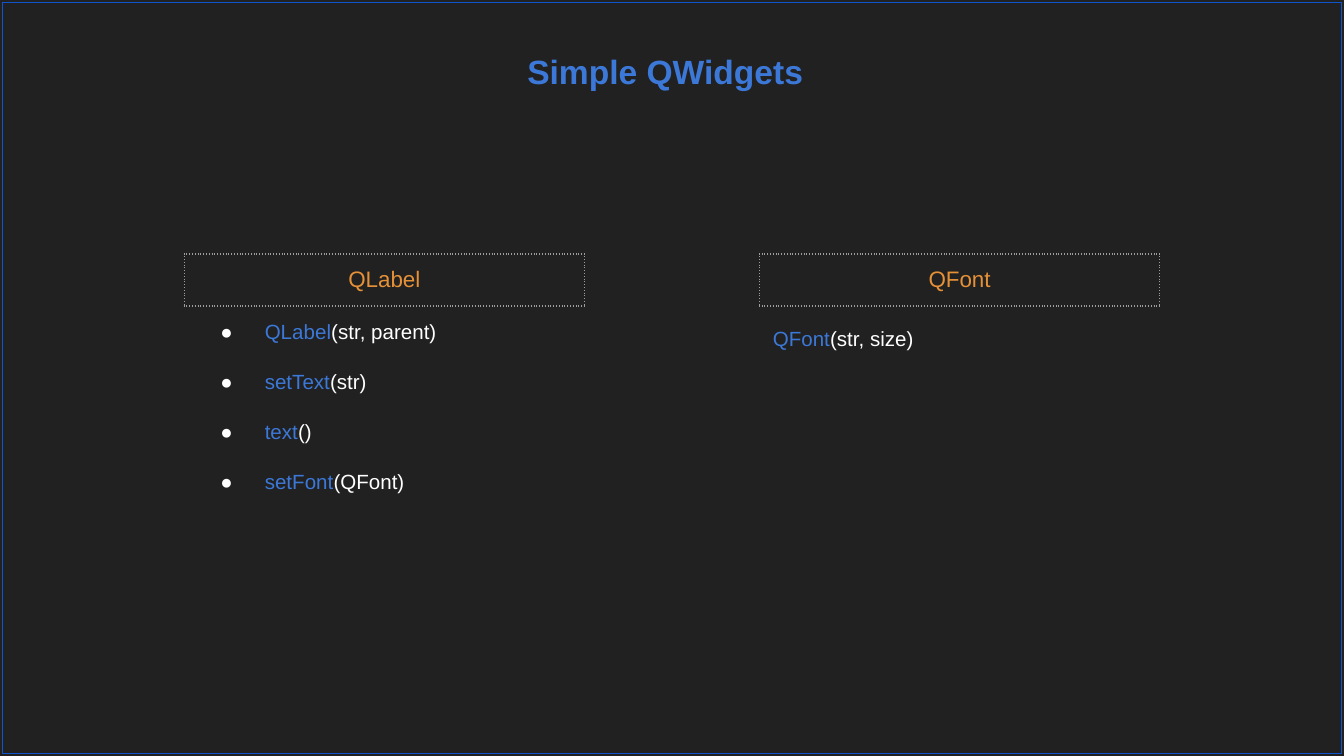
from lxml import etree
from pptx import Presentation
from pptx.dml.color import RGBColor
from pptx.enum.shapes import MSO_SHAPE
from pptx.enum.text import MSO_ANCHOR, MSO_AUTO_SIZE, PP_ALIGN
from pptx.oxml.ns import qn
from pptx.util import Inches, Pt

RECTANGLE = MSO_SHAPE.RECTANGLE
CENTER, LEFT = PP_ALIGN.CENTER, PP_ALIGN.LEFT
TOP, NO_FIT = MSO_ANCHOR.TOP, MSO_AUTO_SIZE.NONE

TITLE = "Simple QWidgets"
# heading, (left, top of the list), row height, bulleted, [(name, arguments)]
COLUMNS = [
    ("QLabel", (1.37, 2.29), 0.37, True, [
        ("QLabel", "(str, parent)"),
        ("setText", "(str)"),
        ("text", "()"),
        ("setFont", "(QFont)"),
    ]),
    ("QFont", (5.65, 2.34), 0.38, False, [("QFont", "(str, size)")]),
]

THEME = {
    "font": "Arial",
    "background": "212121", "frame": "1155CC", "border": "9E9E9E",
    "name": "3C78D8", "arguments": "FFFFFF", "heading": "E69138",
    "title_size": 18, "heading_size": 12, "body_size": 11, "line": 0.75,
}
SLIDE_WIDTH = 10
SLIDE_HEIGHT = SLIDE_WIDTH * 9 / 16
COLUMN_WIDTH, HEADING_TOP, HEADING_HEIGHT = 2.98, 1.89, 0.38
INSET, FRAME_GAP = 0.1, 0.02
BULLET_LEFT, BULLET_HANGING = 0.5, -0.33
NO_GRID_STYLE = "{2D5ABB26-0587-4C30-8999-92F81FD0307C}"


def color(name):
    """Return a theme colour."""
    return RGBColor.from_string(THEME[name])


def set_all(target, values):
    """Set each named attribute of the target."""
    for name, value in values.items():
        setattr(target, name, value)


def write(paragraph, runs, size, align=LEFT, bold=False):
    """Fill a paragraph with (text, colour name) runs."""
    paragraph.alignment = align
    for text, color_name in runs:
        run = paragraph.add_run()
        run.text = text
        set_all(run.font, {"name": THEME["font"], "size": Pt(THEME[size]), "bold": bold})
        run.font.color.rgb = color(color_name)


def add_color(parent, tag, color_name):
    """Append an element that holds one theme colour."""
    holder = etree.SubElement(parent, qn(tag))
    etree.SubElement(holder, qn("a:srgbClr"), val=THEME[color_name])


def add_bullet(paragraph):
    """Give a paragraph a round bullet and a hanging indent."""
    properties = paragraph._p.get_or_add_pPr()
    properties.set("marL", str(Inches(BULLET_LEFT)))
    properties.set("indent", str(Inches(BULLET_HANGING)))
    add_color(properties, "a:buClr", "arguments")
    etree.SubElement(properties, qn("a:buFont"), typeface=THEME["font"])
    etree.SubElement(properties, qn("a:buChar"), char="●")


def set_borders(cell, dotted):
    """Draw dotted borders round a cell, or none."""
    properties = cell._tc.get_or_add_tcPr()
    for side in ("a:lnL", "a:lnR", "a:lnT", "a:lnB"):
        line = etree.SubElement(properties, qn(side), w=str(Pt(THEME["line"])))
        if dotted:
            add_color(line, "a:solidFill", "border")
            etree.SubElement(line, qn("a:prstDash"), val="dot")
        else:
            etree.SubElement(line, qn("a:noFill"))


def add_list(slide, left, top, row_height, rows, size, align=LEFT,
             bulleted=False, dotted=False):
    """Add a one-column table with one row per list of runs."""
    frame = slide.shapes.add_table(
        len(rows), 1, Inches(left), Inches(top),
        Inches(COLUMN_WIDTH), Inches(row_height * len(rows)))
    table = frame.table
    table._tbl.tblPr.find(qn("a:tableStyleId")).text = NO_GRID_STYLE
    set_all(table, {"first_row": False, "horz_banding": False})
    for index, runs in enumerate(rows):
        cell = table.cell(index, 0)
        margins = ("margin_left", "margin_right", "margin_top", "margin_bottom")
        set_all(cell, dict.fromkeys(margins, Inches(INSET)))
        set_borders(cell, dotted)
        cell.fill.background()
        paragraph = cell.text_frame.paragraphs[0]
        write(paragraph, runs, size, align)
        if bulleted:
            add_bullet(paragraph)


def add_title(slide):
    """Place and format the title placeholder."""
    title = slide.shapes.title
    set_all(title, {"left": Inches(-0.05), "top": Inches(0.28),
                    "width": Inches(SLIDE_WIDTH), "height": Inches(0.63)})
    set_all(title.text_frame, {
        "auto_size": NO_FIT, "vertical_anchor": TOP, "word_wrap": True,
        "margin_top": Inches(INSET), "margin_bottom": Inches(INSET)})
    write(title.text_frame.paragraphs[0], [(TITLE, "name")], "title_size", CENTER, True)


def add_frame(slide):
    """Outline the slide just inside its edge."""
    frame = slide.shapes.add_shape(
        RECTANGLE, Inches(FRAME_GAP), Inches(FRAME_GAP),
        Inches(SLIDE_WIDTH - 2 * FRAME_GAP), Inches(SLIDE_HEIGHT - 2 * FRAME_GAP))
    frame.shadow.inherit = False
    frame.fill.background()
    frame.line.color.rgb = color("frame")
    frame.line.width = Pt(THEME["line"])


def main():
    """Build and save the slide."""
    presentation = Presentation()
    set_all(presentation, {"slide_width": Inches(SLIDE_WIDTH),
                           "slide_height": Inches(SLIDE_HEIGHT)})
    slide = presentation.slides.add_slide(presentation.slide_layouts[5])
    slide.background.fill.solid()
    slide.background.fill.fore_color.rgb = color("background")
    add_title(slide)
    for heading, (left, top), row_height, bulleted, calls in COLUMNS:
        rows = [[(name, "name"), (arguments, "arguments")] for name, arguments in calls]
        add_list(slide, left, top, row_height, rows, "body_size", bulleted=bulleted)
        add_list(slide, left, HEADING_TOP, HEADING_HEIGHT, [[(heading, "heading")]],
                 "heading_size", CENTER, dotted=True)
    add_frame(slide)
    presentation.save("out.pptx")


main()
